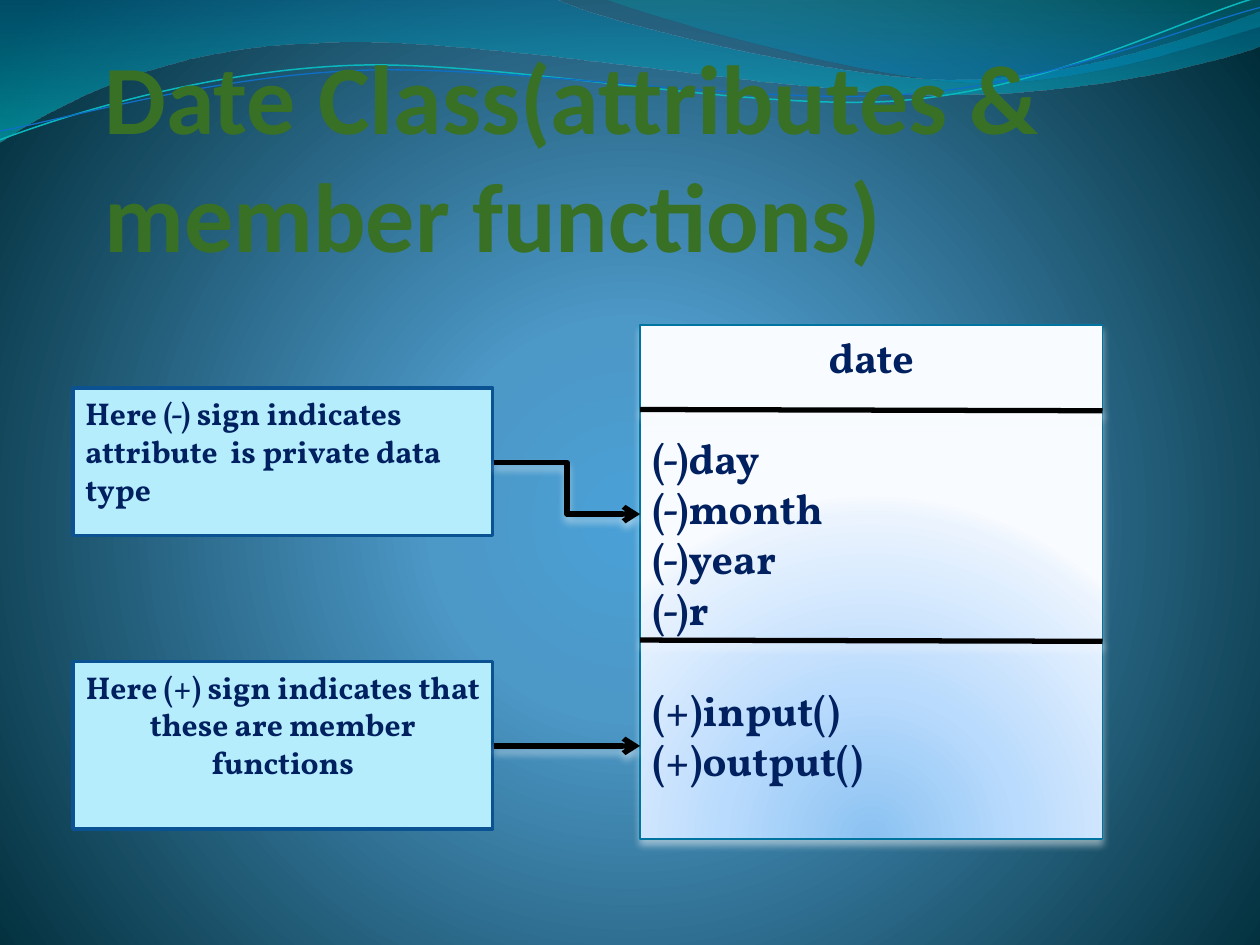
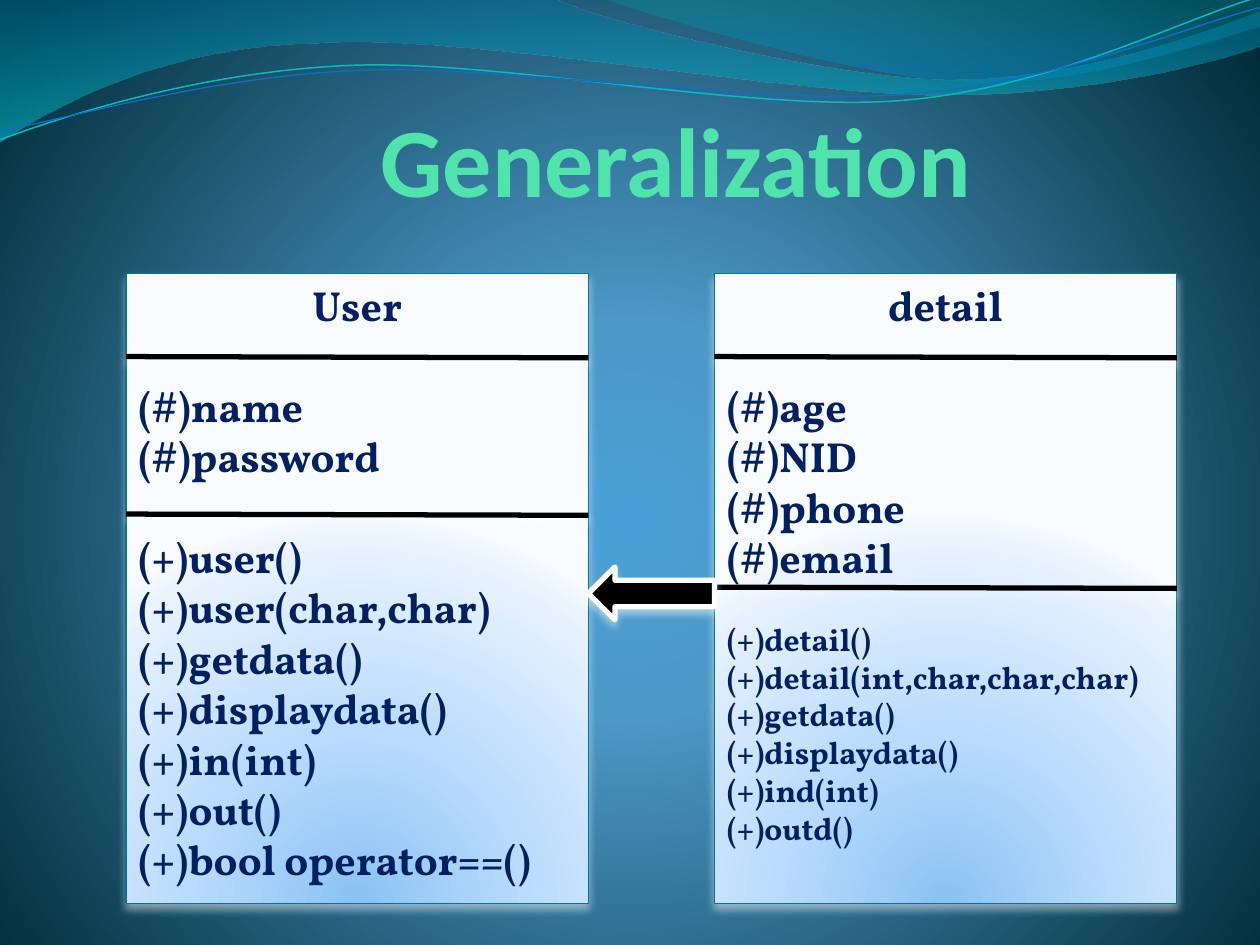
import math

from lxml import etree
from pptx import Presentation
from pptx import util as u
from pptx.dml.color import RGBColor
from pptx.enum import shapes, text
from pptx.oxml import ns

# Shared colours and style
BLACK = RGBColor(0x00, 0x00, 0x00)
WHITE = RGBColor(0xFF, 0xFF, 0xFF)
NAVY = RGBColor(0x00, 0x20, 0x60)
GREEN = RGBColor(0x38, 0x70, 0x26)
MINT = RGBColor(0x50, 0xE3, 0xAC)
BOX_EDGE = RGBColor(0x00, 0x74, 0xA1)
NOTE_FILL = RGBColor(0xB5, 0xED, 0xFD)
NOTE_EDGE = RGBColor(0x0B, 0x52, 0x92)
WAVE_TEAL = RGBColor(0x0A, 0xB8, 0xBF)
WAVE_BLUE = RGBColor(0x0F, 0x6F, 0xC6)
TEAL = RGBColor(0x00, 0xC6, 0xCF)
DEEP_TEAL = RGBColor(0x00, 0xA1, 0xA9)
OCEAN = RGBColor(0x00, 0x8B, 0xBF)

# Gradient stops: position, colour, opacity (all in percent)
BACKDROP = [(0, RGBColor(0x4A, 0xA0, 0xD6), 100),
            (25, RGBColor(0x4C, 0x98, 0xC7), 100),
            (100, RGBColor(0x00, 0x2C, 0x38), 100)]
BOX_GLOW = [(0, RGBColor(0x8B, 0xC2, 0xF1), 100),
            (43, RGBColor(0xB9, 0xDB, 0xFD), 100),
            (93, RGBColor(0xEA, 0xF3, 0xFE), 100),
            (100, RGBColor(0xF8, 0xFB, 0xFF), 100)]

TITLE_FONT, BODY_FONT = "Calibri", "Vollkorn"
BOX_WIDTH = 3.67
LINE_HEIGHT = 1.2
RIPPLE_TILT = 357.3

# Waves: start point, then steps of one point (line) or three (curve)
WAVE_BANDS = [
    ([(0, 0), [(4.4, -0.01)],
      [(4.76, 0.17), (6.64, 0.63), (7.58, 0.63)],
      [(8.53, 0.63), (9.58, 0.26), (10, 0.09)], [(10.01, 0.36)],
      [(9.83, 0.44), (8.7, 0.76), (7.46, 0.75)],
      [(6.22, 0.75), (3.82, 0.28), (2.57, 0.34)],
      [(1.29, 0.36), (0.46, 0.83), (-0.01, 1.13)], [(0, 0)]],
     [(0, BOX_EDGE, 45), (100, TEAL, 55)]),
    ([(4.79, -0.01),
      [(5.09, 0.11), (6.82, 0.62), (7.69, 0.65)],
      [(8.56, 0.69), (9.61, 0.32), (10, 0.21)], [(10, 0)], [(4.79, -0.01)]],
     [(0, DEEP_TEAL, 30), (80, OCEAN, 45)]),
]
WAVE_LINES = [
    ([(0, 1.11), [(0.48, 0.93), (1.58, 0.57), (2.77, 0.52)],
      [(3.95, 0.47), (5.93, 0.89), (7.13, 0.8)],
      [(8.33, 0.71), (9.38, 0.15), (9.98, -0.02)]], WAVE_TEAL, 0.85),
    ([(0, 1.04), [(0.47, 0.96), (1.64, 0.61), (2.83, 0.56)],
      [(4.03, 0.51), (5.97, 0.84), (7.17, 0.75)],
      [(8.36, 0.67), (9.41, 0.21), (10, 0.06)]], WAVE_BLUE, 0.75),
]


def child(parent, tag, **attributes):
    node = etree.SubElement(parent, ns.qn(tag))
    for key, value in attributes.items():
        node.set(key, str(value))
    return node


def add_colour(parent, colour, opacity):
    node = child(parent, "a:srgbClr", val=colour)
    if opacity < 100:
        child(node, "a:alpha", val=opacity * 1000)


def set_gradient(fill, holder, stops, focus=None):
    """Radial towards the focus (left, top, right, bottom), else top down."""
    fill.solid()
    solid = holder.find(ns.qn("a:solidFill"))
    gradient = etree.Element(ns.qn("a:gradFill"), rotWithShape="1")
    stop_list = child(gradient, "a:gsLst")
    for position, colour, opacity in stops:
        add_colour(child(stop_list, "a:gs", pos=position * 1000), colour, opacity)
    if focus:
        radial = child(gradient, "a:path", path="circle")
        child(radial, "a:fillToRect",
              **{side: value * 1000 for side, value in zip("ltrb", focus)})
    else:
        child(gradient, "a:lin", ang=90 * 60000, scaled=1)
    holder.replace(solid, gradient)


def set_shadow(shape, colour=None):
    """Called after fill and line, as the effects come last."""
    effects = child(shape.element.spPr, "a:effectLst")
    if colour is not None:
        shadow = child(effects, "a:outerShdw", blurRad=u.Pt(4.5), dist=u.Pt(3),
                       dir=90 * 60000, algn="ctr", rotWithShape=0)
        add_colour(shadow, colour, 48)


def set_line(shape, colour, width):
    shape.line.color.rgb = colour
    shape.line.width = u.Pt(width)


def level(point, centre=(5, 0.58)):
    """Turn a ripple point back, so that the shape's own tilt restores it."""
    angle = math.radians(360 - RIPPLE_TILT)
    dx, dy = point[0] - centre[0], point[1] - centre[1]
    return (centre[0] + dx * math.cos(angle) - dy * math.sin(angle),
            centre[1] + dx * math.sin(angle) + dy * math.cos(angle))


class Deck:
    def __init__(self):
        self.prs = Presentation()
        self.prs.slide_width, self.prs.slide_height = u.Inches(10), u.Inches(7.5)
        self.slide = None

    def new_slide(self):
        self.slide = self.prs.slides.add_slide(self.prs.slide_layouts[5])

    def theme(self):
        """Background and waves, drawn once and kept on the master."""
        master = self.prs.slide_master
        fill = master.background.fill
        fill.solid()
        holder = master.element.find(".//" + ns.qn("p:bgPr"))
        set_gradient(fill, holder, BACKDROP, (10, 110, 10, 100))
        waves = []
        for outline, stops in WAVE_BANDS:
            band = self.curve(outline, True)
            set_gradient(band.fill, band.element.spPr, stops)
            band.line.fill.background()
            waves.append(band)
        for (start, *steps), colour, width in WAVE_LINES:
            levelled = [level(start), *([level(p) for p in step] for step in steps)]
            ripple = self.curve(levelled, False)
            ripple.rotation = RIPPLE_TILT
            ripple.fill.background()
            set_line(ripple, colour, width)
            waves.append(ripple)
        for order, wave in enumerate(waves):
            set_shadow(wave)
            wave.element.xpath(".//p:cNvPr")[0].set("id", str(20 + order))
            master.shapes.element.insert(2 + order, wave.element)

    def curve(self, outline, closed):
        """Freeform through the step ends, then bent with the control points."""
        start, *steps = outline
        builder = self.slide.shapes.build_freeform(u.Inches(start[0]), u.Inches(start[1]))
        ends = [(u.Inches(x), u.Inches(y)) for x, y in (step[-1] for step in steps)]
        builder.add_line_segments(ends, close=closed)
        wave = builder.convert_to_shape()
        for segment, step in zip(wave.element.xpath(".//a:lnTo"), steps):
            if len(step) == 3:
                bend = etree.Element(ns.qn("a:cubicBezTo"))
                for x, y in step:
                    child(bend, "a:pt", x=u.Inches(x) - wave.left, y=u.Inches(y) - wave.top)
                segment.getparent().replace(segment, bend)
        return wave

    def paragraph(self, frame, words, size, colour=NAVY, font=BODY_FONT,
                  align=text.PP_ALIGN.LEFT, gap=0):
        paragraph = frame.paragraphs[0]
        if paragraph.runs:
            paragraph = frame.add_paragraph()
        paragraph.alignment = align
        paragraph.space_before = u.Pt(gap)
        run = paragraph.add_run()
        run.text = words
        run.font.name, run.font.size, run.font.bold = font, u.Pt(size), True
        run.font.color.rgb = colour

    def title(self, words, x, y, w, h, colour, align, indent=0):
        title = self.slide.shapes.title
        title.left, title.top = u.Inches(x), u.Inches(y)
        title.width, title.height = u.Inches(w), u.Inches(h)
        frame = title.text_frame
        frame.auto_size = text.MSO_AUTO_SIZE.NONE
        frame.vertical_anchor = text.MSO_ANCHOR.BOTTOM
        frame.margin_left = u.Inches(indent)
        frame.margin_right = frame.margin_top = frame.margin_bottom = 0
        self.paragraph(frame, words, 56, colour, TITLE_FONT, align)

    def shape(self, kind, x, y, w, h):
        shape = self.slide.shapes.add_shape(
            kind, u.Inches(x), u.Inches(y), u.Inches(w), u.Inches(h))
        shape.text_frame.word_wrap = True
        shape.text_frame.vertical_anchor = text.MSO_ANCHOR.TOP
        return shape

    def class_box(self, x, y, h, name, attributes, functions, rules, function_size=24):
        box = self.shape(shapes.MSO_SHAPE.FLOWCHART_PROCESS, x, y, BOX_WIDTH, h)
        set_gradient(box.fill, box.element.spPr, BOX_GLOW, (50, 130, 50, -30))
        set_line(box, BOX_EDGE, 0.75)
        set_shadow(box, WHITE)
        self.paragraph(box.text_frame, name, 24, align=text.PP_ALIGN.CENTER)
        for members, size in ((attributes, 24), (functions, function_size)):
            for i, member in enumerate(members):
                gap = 0 if i else size * LINE_HEIGHT
                self.paragraph(box.text_frame, member, size, gap=gap)
        for rule_y in rules:
            self.connector(shapes.MSO_CONNECTOR.STRAIGHT,
                           x, rule_y, x + BOX_WIDTH, rule_y + 0.01)

    def note(self, y, h, lines, align):
        note = self.shape(shapes.MSO_SHAPE.FLOWCHART_PROCESS, 0.58, y, 3.33, h)
        note.fill.solid()
        note.fill.fore_color.rgb = NOTE_FILL
        set_line(note, NOTE_EDGE, 2)
        set_shadow(note)
        for line in lines:
            self.paragraph(note.text_frame, line, 18, align=align)

    def connector(self, kind, x1, y1, x2, y2, arrow=False):
        connector = self.slide.shapes.add_connector(
            kind, u.Inches(x1), u.Inches(y1), u.Inches(x2), u.Inches(y2))
        set_line(connector, BLACK, 3)
        if arrow:
            child(connector.element.spPr.find(ns.qn("a:ln")), "a:tailEnd", type="arrow")
        set_shadow(connector, WHITE)

    def inheritance_arrow(self, x, y, w, h):
        arrow = self.shape(shapes.MSO_SHAPE.RIGHT_ARROW, x, y, w, h)
        arrow.rotation = 180
        arrow.fill.solid()
        arrow.fill.fore_color.rgb = BLACK
        set_line(arrow, WHITE, 3)
        set_shadow(arrow, WHITE)


deck = Deck()

# Slide 1: the date class and its access signs
deck.new_slide()
deck.theme()
deck.title("Date Class(attributes & member functions)", 0.83, 0.67, 8.5, 1.49,
           GREEN, text.PP_ALIGN.LEFT)
deck.class_box(5.08, 2.58, 4.08, "date",
               ["(-)day", "(-)month", "(-)year", "(-)r"],
               ["(+)input()", "(+)output()"], rules=(3.25, 5.08))
deck.note(3.08, 1.17, ["Here (-) sign indicates attribute  is private data", "type"],
          text.PP_ALIGN.LEFT)
deck.note(5.25, 1.33, ["Here (+) sign indicates that these are member functions"],
          text.PP_ALIGN.CENTER)
for note_y, member_y in ((3.67, 4.08), (5.92, 5.92)):
    deck.connector(shapes.MSO_CONNECTOR.ELBOW, 3.92, note_y, 5.08, member_y, arrow=True)

# Slide 2: detail inherits from User
deck.new_slide()
deck.title("Generalization", 0.5, 0.58, 8.33, 1.14, MINT, text.PP_ALIGN.CENTER, indent=1.4)
deck.class_box(1, 2.17, 5, "User", ["(#)name", "(#)password"],
               ["(+)user()", "(+)user(char,char)", "(+)getdata()", "(+)displaydata()",
                "(+)in(int)", "(+)out()", "(+)bool operator==()"], rules=(2.83, 4.08))
deck.class_box(5.67, 2.17, 5, "detail", ["(#)age", "(#)NID", "(#)phone", "(#)email"],
               ["(+)detail()", "(+)detail(int,char,char,char)", "(+)getdata()",
                "(+)displaydata()", "(+)ind(int)", "(+)outd()"],
               rules=(2.83, 4.66), function_size=18)
deck.inheritance_arrow(4.67, 4.5, 1, 0.42)

deck.prs.save("out.pptx")
